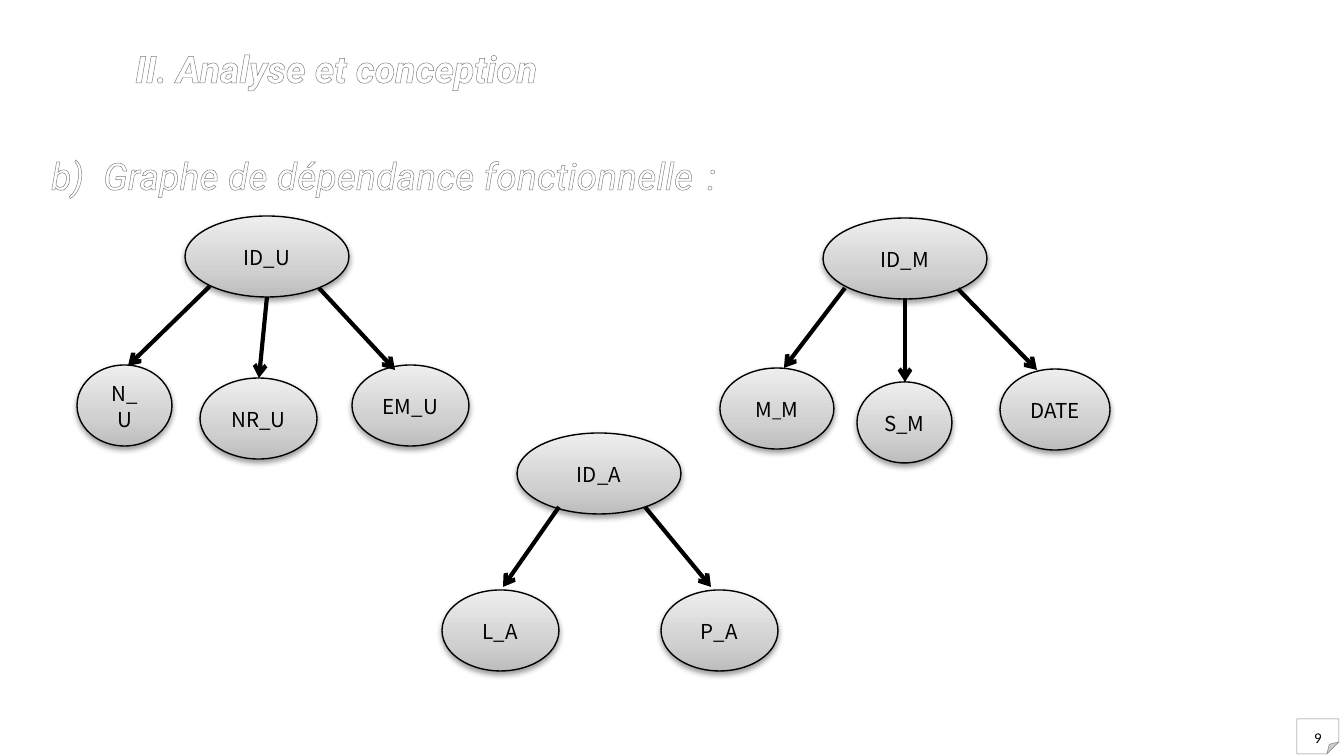
from lxml.etree import SubElement
from pptx import Presentation
from pptx.dml.color import RGBColor
from pptx.enum.shapes import MSO_CONNECTOR as CONN, MSO_SHAPE as SHAPE
from pptx.enum.text import MSO_ANCHOR as ANCHOR, MSO_AUTO_SIZE as AUTO, PP_ALIGN as ALIGN
from pptx.oxml import parse_xml
from pptx.oxml.ns import nsdecls, qn
from pptx.util import Pt

PX = 914400 / 134.4
C = {"white": "FFFFFF", "black": "000000", "edge": "808080", "outline": "7D7D7D",
     "mid": "7F7F7F", "dark": "BDBDBD", "soft": "D1D1D1", "light": "EEEEEE"}
SHEEN = [(0, "white"), (9, "white"), (50, "mid"), (79, "white"), (100, "white")]
SILVER = [(0, "dark"), (35, "soft"), (100, "light")]


def px(*values):
    return [round(v * PX) for v in values]


def gradient(stops, angle):
    gs = "".join(f'<a:gs pos="{pos * 1000}"><a:srgbClr val="{C[c]}"/></a:gs>' for pos, c in stops)
    return parse_xml(f'<a:gradFill {nsdecls("a")} rotWithShape="1"><a:gsLst>{gs}</a:gsLst>'
                     f'<a:lin ang="{angle * 60000}" scaled="0"/></a:gradFill>')


prs = Presentation()
prs.slide_width, prs.slide_height = px(1344, 756)
s = prs.slides.add_slide(prs.slide_layouts[6])
black = RGBColor.from_string(C["black"])

headings = [
    ("II. Analyse et conception", (122, 39, 444, 59), True, []),
    ("b)\tGraphe de dépendance fonctionnelle\t:", (38, 146, 734, 59), False, [52, 656]),
]
for text, box, bold, tabs in headings:
    tf = s.shapes.add_textbox(*px(*box)).text_frame
    tf.word_wrap = True
    tf.auto_size = AUTO.SHAPE_TO_FIT_TEXT
    p = tf.paragraphs[0]
    if tabs:
        tab_list = SubElement(p._p.get_or_add_pPr(), qn("a:tabLst"))
        for pos in px(*tabs):
            SubElement(tab_list, qn("a:tab"), pos=str(pos), algn="l")
    r = p.add_run()
    r.text = text
    r.font.size = Pt(20)
    r.font.name = "Roboto"
    r.font.bold = bold
    r.font.italic = True
    rPr = r._r.get_or_add_rPr()
    rPr.insert(0, gradient(SHEEN, 90))
    rPr.insert(0, parse_xml(f'<a:ln {nsdecls("a")} w="10541"><a:solidFill>'
                            f'<a:srgbClr val="{C["outline"]}"/></a:solidFill></a:ln>'))

sp = s.shapes.add_shape(SHAPE.FOLDED_CORNER, *px(1297, 719, 42, 35))
guides = sp._element.spPr.find(qn("a:prstGeom")).get_or_add_avLst()
SubElement(guides, qn("a:gd"), name="adj", fmla="val 34600")
sp.shadow.inherit = False
sp.fill.solid()
sp.fill.fore_color.rgb = RGBColor.from_string(C["white"])
sp.line.color.rgb = RGBColor.from_string(C["edge"])
sp.line.width = Pt(0.25)
tf = sp.text_frame
tf.vertical_anchor = ANCHOR.TOP
p = tf.paragraphs[0]
p.alignment = ALIGN.CENTER
p.line_spacing = 1.15
p.space_after = Pt(10)
r = p.add_run()
r.text = "9"
r.font.size = Pt(8)
r.font.name = "Calibri"
r.font.color.rgb = black

graphs = [
    ([("ID_U", 185, 216, 164), ("N_U", 77, 365, 95),
      ("NR_U", 200, 378, 117), ("EM_U", 352, 365, 117)],
     [(210, 286, 128, 366), (267, 297, 259, 378), (319, 288, 395, 370)]),
    ([("ID_M", 823, 218, 164), ("M_M", 720, 368, 114),
      ("DATE", 1000, 369, 110), ("S_M", 857, 382, 95)],
     [(845, 288, 784, 368), (905, 298, 905, 382), (958, 289, 1037, 370)]),
    ([("ID_A", 517, 433, 164), ("L_A", 442, 590, 117), ("P_A", 661, 590, 117)],
     [(559, 507, 503, 587), (645, 507, 711, 587)]),
]
for nodes, arrows in graphs:
    for name, x, y, w in nodes:
        sp = s.shapes.add_shape(SHAPE.OVAL, *px(x, y, w, 81))
        sp.line.color.rgb = black
        sp.line.width = Pt(0.75)
        sp._element.spPr.find(qn("a:ln")).addprevious(gradient(SILVER, 270))
        sp._element.spPr.append(parse_xml(
            f'<a:effectLst {nsdecls("a")}><a:outerShdw blurRad="40000" dist="20000" '
            f'dir="5400000" rotWithShape="0"><a:srgbClr val="{C["black"]}">'
            '<a:alpha val="38000"/></a:srgbClr></a:outerShdw></a:effectLst>'))
        tf = sp.text_frame
        tf.word_wrap = True
        tf.vertical_anchor = ANCHOR.MIDDLE
        p = tf.paragraphs[0]
        p.alignment = ALIGN.CENTER
        p.line_spacing = 1.07
        p.space_after = Pt(8)
        for part in name if name == "M_M" else [name]:
            r = p.add_run()
            r.text = part
            r.font.size = Pt(9 if part == "_" else 11)
            r.font.name = "Noto Sans CJK KR"
            r.font.color.rgb = black
    for arrow in arrows:
        line = s.shapes.add_connector(CONN.STRAIGHT, *px(*arrow))
        line.line.color.rgb = black
        line.line.width = Pt(2.25)
        spPr = line._element.spPr
        SubElement(spPr.find(qn("a:ln")), qn("a:tailEnd"), type="arrow")
        SubElement(spPr, qn("a:effectLst"))

prs.save("out.pptx")
